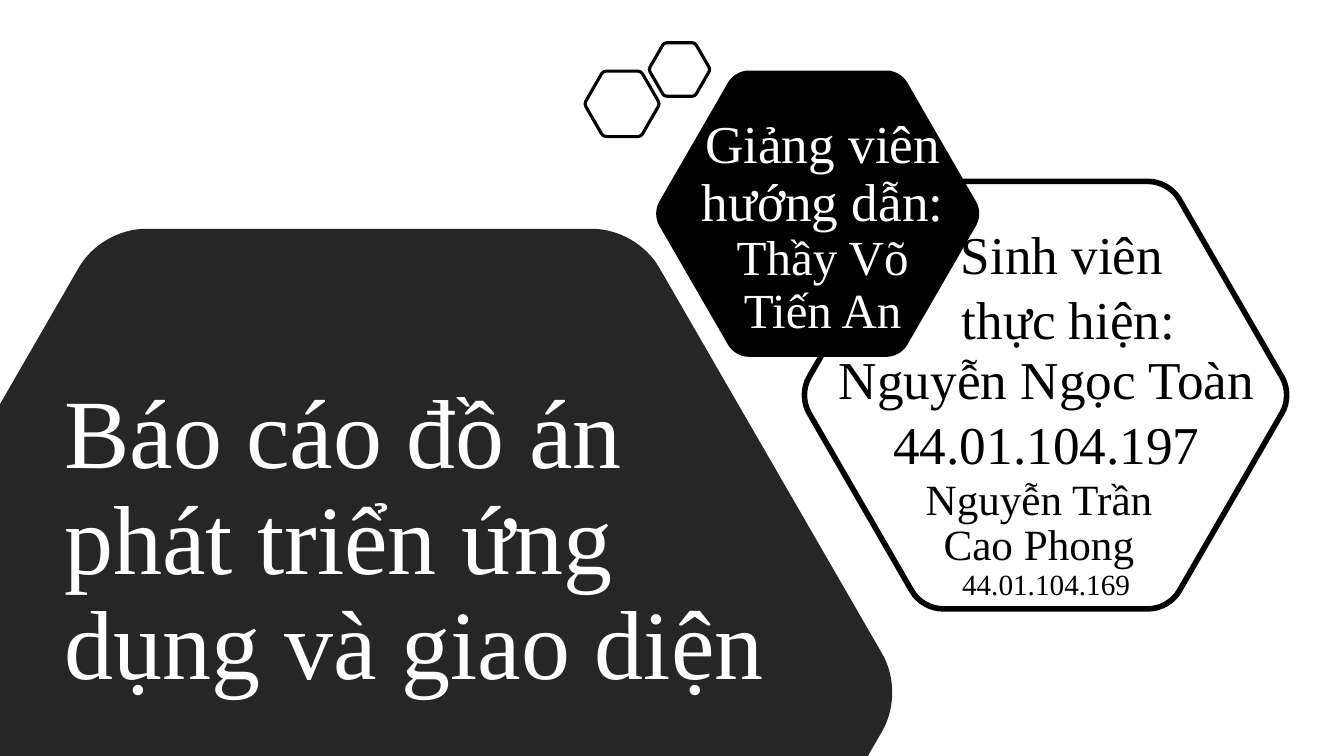
import math
from pptx import Presentation, util as u
from pptx.dml.color import RGBColor
from pptx.enum import text
from pptx.oxml.ns import qn
from lxml import etree

W, H = 13.33, 7.5
COLORS = {"black": "000000", "dark": "262626", "white": "FFFFFF"}
FONT = "Times New Roman"
ROUND = 0.084  # corner cut as a share of the hexagon's side
BEND = 0.6     # how far the curve handles reach towards the corner

prs = Presentation()
prs.slide_width, prs.slide_height = u.Inches(W), u.Inches(H)
s = prs.slides.add_slide(prs.slide_layouts[6])


def rounded_shape(corners, fill=None, line=None):
    """Draw a polygon of (x, y, cut) corners, each rounded by a cubic curve."""
    pts, curves = [], []
    for i, (x, y, cut) in enumerate(corners):
        if not cut:
            pts.append((x, y))
            continue
        ends = []
        for nx, ny, _ in (corners[i - 1], corners[(i + 1) % len(corners)]):
            d = cut / math.hypot(nx - x, ny - y)
            ends.append([(x + (nx - x) * d * k, y + (ny - y) * d * k)
                         for k in (1, 1 - BEND)])
        (a, a_handle), (b, b_handle) = ends
        curves.append(len(pts) + 1)
        pts += [a, a_handle, b_handle, b]
    pts = [(u.Inches(x), u.Inches(y)) for x, y in pts]
    fb = s.shapes.build_freeform(*pts[0])
    fb.add_line_segments(pts[1:], close=True)
    sp = fb.convert_to_shape()
    sp.shadow.inherit = False

    # Turn the three points of each corner into one curve
    segments = list(next(sp._element.iter(qn("a:path"))))
    for k in curves:
        curve = etree.Element(qn("a:cubicBezTo"))
        segments[k].addprevious(curve)
        for seg in segments[k:k + 3]:
            curve.append(seg[0])
            seg.getparent().remove(seg)

    if fill:
        sp.fill.solid()
        sp.fill.fore_color.rgb = RGBColor.from_string(COLORS[fill])
    else:
        sp.fill.background()
    if line:
        sp.line.color.rgb = RGBColor.from_string(COLORS["black"])
        sp.line.width = u.Pt(line)
    else:
        sp.line.fill.background()


def add_text(box, paragraphs, color, spacing=0.9, align=text.PP_ALIGN.CENTER):
    """Each paragraph is a list of (wording, size) runs."""
    tf = s.shapes.add_textbox(*map(u.Inches, box)).text_frame
    tf.word_wrap = True
    tf.vertical_anchor = text.MSO_ANCHOR.MIDDLE
    for i, runs in enumerate(paragraphs):
        p = tf.paragraphs[0] if i == 0 else tf.add_paragraph()
        p.alignment, p.line_spacing, p.space_after = align, spacing, u.Pt(6)
        p.font.name = FONT
        p.font.color.rgb = RGBColor.from_string(COLORS[color])
        for wording, size in runs:
            r = p.add_run()
            r.text = wording
            r.font.size = u.Pt(size)
    return tf


# Whole hexagons: centre, height, fill, line width
big = (10.37, 3.92, 4.24, None, 4)
black = (8.11, 2.12, 2.84, "black", None)
small = [(6.17, 1.03, 0.65, None, 2.25), (6.74, 0.69, 0.53, None, 2.25)]

# Large dark hexagon, cut off by the left and bottom edges of the slide
cx, top, half = 3.66, 2.27, 4.6
slope = math.sqrt(3)
side = half * 2 / slope
cut, left, right = ROUND * side, cx - side / 2, cx + side / 2
dark = [(0, top + left * slope, 0), (left, top, cut), (right, top, cut),
        (cx + side, top + half, cut),
        (cx + side - (H - top - half) / slope, H, 0), (0, H, 0)]

# Back to front
for hexagon in (big, black, dark, *small):
    if hexagon is dark:
        rounded_shape(dark, "dark")
        continue
    x, y, h, fill, line = hexagon
    r = h / slope
    rounded_shape([(x + r * math.cos(k * math.pi / 3),
                    y + r * math.sin(k * math.pi / 3), ROUND * r)
                   for k in range(6)], fill, line)

# Title
add_text((0.54, 3.26, 7.23, 4.24),
         [[("Báo cáo đồ án phát triển ứng dụng và giao diện", 70)]],
         "white", align=text.PP_ALIGN.LEFT)

# Lecturer
add_text((6.79, 1.07, 2.74, 2.39),
         [[("Giảng viên hướng dẫn: ", 38), ("Thầy Võ Tiến An", 35)]], "white")

# Students
add_text((9, 2.21, 3.2, 1.33),
         [[("Sinh viên ", 38)], [("thực hiện:", 38)]], "black")
add_text((8.13, 3.45, 4.5, 1.33),
         [[("Nguyễn Ngọc Toàn", 38)], [("44.01.104.197", 38)]], "black")
tf = add_text((8.49, 4.73, 3.63, 1.33),
              [[("Nguyễn Trần", 30.8)], [("Cao Phong", 30.8)],
               [("44.01.104.169", 20.9)]], "black", spacing=0.7)
# Number sits slightly right of centre
tf.paragraphs[-1]._p.get_or_add_pPr().set("marL", str(u.Inches(0.14)))

prs.save("out.pptx")
